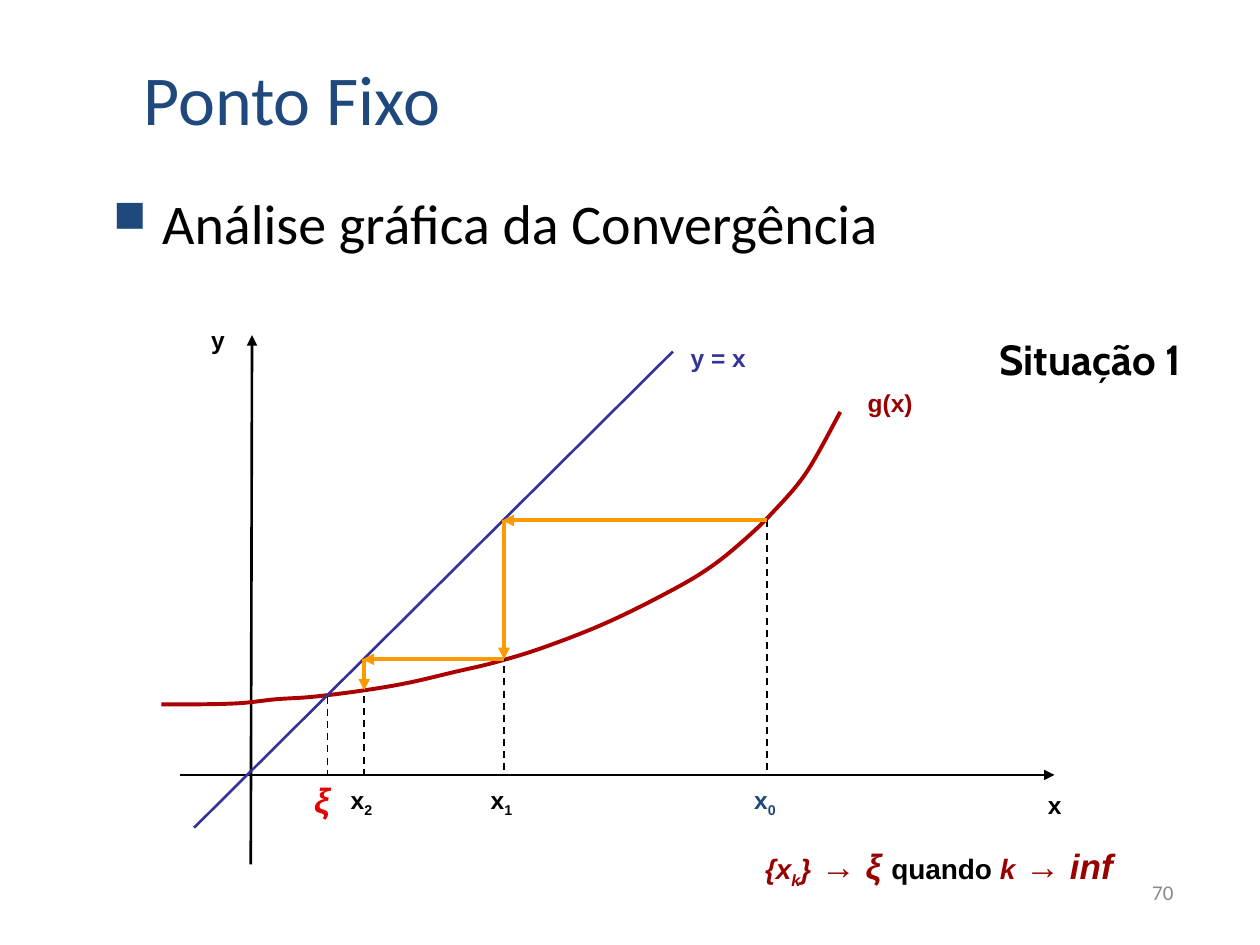
from lxml import etree
from pptx import Presentation
from pptx.dml.color import RGBColor
from pptx.enum import dml, shapes, text
from pptx.oxml import ns
from pptx.util import Pt

BLACK, NAVY, BLUE = "000000", "1F497D", "333399"
RED, CRIMSON, BRIGHT_RED = "990000", "AC0000", "E40000"
ORANGE, GREY = "FF9900", "898989"
LEFT, CENTER, RIGHT = text.PP_ALIGN.LEFT, text.PP_ALIGN.CENTER, text.PP_ALIGN.RIGHT
TOP, MIDDLE, BOTTOM = (text.MSO_ANCHOR.TOP, text.MSO_ANCHOR.MIDDLE,
                       text.MSO_ANCHOR.BOTTOM)

# left, top, width, height, alignment, anchor, wording, font, size, colour, bold
HEADINGS = [
    (74.9, 37.4, 629.3, 46.1, LEFT, BOTTOM, "Ponto Fixo", "Calibri", 40, NAVY, False),
    (57.6, 103.7, 613.4, 46.1, LEFT, BOTTOM, "Análise gráfica da Convergência",
     "Calibri", 32, BLACK, False),
    (545, 187.2, 156.2, 36, CENTER, TOP, "Situação 1", "Cabin", 24, BLACK, True),
    (527.8, 491.8, 149.8, 36, RIGHT, MIDDLE, "70", "Calibri", 12, GREY, False),
]

# left, top, width, height, wording, subscript, size, colour, italic
LABELS = [
    (113.8, 185.8, 21.6, 15.8, "y", "", 14, BLACK, False),
    (596.9, 451.4, 11.5, 13.7, "x", "", 14, BLACK, False),
    (389.5, 195.8, 41.8, 16.6, "y = x", "", 14, BLUE, False),
    (493.2, 221.8, 31, 16.6, "g(x)", "", 14, RED, False),
    (430.6, 448.6, 13, 16.6, "x", "0", 14, NAVY, False),
    (277.9, 448.6, 17.3, 16.6, "x", "1", 14, BLACK, False),
    (199.4, 448.6, 14.4, 16.6, "x", "2", 14, BLACK, False),
    (176.4, 445, 15.1, 20.9, "ξ", "", 20, BRIGHT_RED, True),
]

# wording, size, colour, italic, subscript
LIMIT_BOX = (415.6, 482.4, 241.9, 31.7)
LIMIT = [
    ("{x", 16, RED, True, False),
    ("k", 16, RED, True, True),
    ("}", 16, RED, True, False),
    (" → ξ ", 20, RED, True, False),
    ("quando ", 16, BLACK, False, False),
    ("k", 16, RED, True, False),
    (" → inf", 20, RED, True, False),
]

G_CURVE = [
    (92.2, 402.5), (114.5, 402.5), (137.5, 401.8), (157.7, 399.6), (178.6, 398.2),
    (207.4, 394.6), (233.3, 390.2), (260.6, 383.8), (282.2, 378.7), (310.3, 370.1),
    (347, 355.7), (384.5, 337), (406.1, 324), (424.1, 309.6), (441.4, 293),
    (460.8, 270), (480.2, 235.4),
]

X0, X1, X2, XI = 438.3, 288, 208.1, 187.2
G_X0, G_X1, G_X2, G_XI = 297.4, 376.8, 394.6, 398.2
AXIS_Y = 442.8

# start, end, colour, width, dashed, arrow at the end
AXES = [
    ((143.3, 493.9), (144, 191.5), BLACK, 1.5, False, True),
    ((103, AXIS_Y), (602.6, AXIS_Y), BLACK, 1.5, False, True),
]
GUIDES = [((x, y), (x, AXIS_Y), BLACK, 1, True, False)
          for x, y in [(XI, G_XI), (X0, G_X0), (X2, G_X1), (X1, G_X0)]]
IDENTITY = [((110.9, 473), (384.5, 200.9), BLUE, 1.5, False, False)]
STEPS = [(start, end, ORANGE, 2.25, False, True) for start, end in [
    ((X0, G_X0), (X1 - 1, G_X0)),
    ((X1, G_X0), (X1, G_X1)),
    ((X1, G_X1), (X2 - 1, G_X1)),
    ((X2, G_X1), (X2, G_X2)),
]]


def rgb(value):
    return RGBColor.from_string(value)


def add_xml(parent, tag, **attributes):
    return etree.SubElement(parent, ns.qn(tag), **attributes)


def add_box(page, left, top, width, height, align, anchor=TOP, inset=(0, 0), wrap=True):
    box = page.shapes.add_textbox(Pt(left), Pt(top), Pt(width), Pt(height))
    frame = box.text_frame
    frame.word_wrap = wrap
    frame.vertical_anchor = anchor
    frame.margin_left = frame.margin_right = Pt(inset[0])
    frame.margin_top = frame.margin_bottom = Pt(inset[1])
    para = frame.paragraphs[0]
    para.alignment = align
    return para


def add_span(para, wording, font, size, colour, bold=True, italic=False, subscript=False):
    span = para.add_run()
    span.text = wording
    span.font.name, span.font.size = font, Pt(size)
    span.font.bold, span.font.italic = bold, italic
    span.font.color.rgb = rgb(colour)
    if subscript:
        span.font._element.set("baseline", "-25000")


def add_square_bullet(para):
    props = para._p.get_or_add_pPr()
    props.set("marL", str(Pt(28)))
    props.set("indent", str(-Pt(28)))
    add_xml(add_xml(props, "a:buClr"), "a:srgbClr", val=NAVY)
    add_xml(props, "a:buSzPct", val="80000")
    add_xml(props, "a:buChar", char="■")


def add_line(page, start, end, colour, width, dashed, arrow):
    line = page.shapes.add_connector(shapes.MSO_CONNECTOR.STRAIGHT,
                                     *(Pt(value) for value in start + end))
    line.line.color.rgb = rgb(colour)
    line.line.width = Pt(width)
    if dashed:
        line.line.dash_style = dml.MSO_LINE.DASH
    if arrow:
        add_xml(line.line._get_or_add_ln(), "a:tailEnd", type="triangle")
    add_xml(line._element.spPr, "a:effectLst")


def bezier_points(anchors):
    """Return two control points and an end point for each span of a smooth curve."""
    padded = [anchors[0], *anchors, anchors[-1]]
    points = []
    for before, start, end, after in zip(padded, padded[1:], padded[2:], padded[3:]):
        points.append(tuple(s + (e - b) / 6 for b, s, e in zip(before, start, end)))
        points.append(tuple(e - (a - s) / 6 for s, e, a in zip(start, end, after)))
        points.append(end)
    return points


def add_curve(page, anchors, colour, width):
    builder = page.shapes.build_freeform(*(Pt(value) for value in anchors[0]))
    builder.add_line_segments([(Pt(x), Pt(y)) for x, y in bezier_points(anchors)],
                              close=False)
    curve = builder.convert_to_shape()
    segments = list(curve._element.iter(ns.qn("a:lnTo")))
    outline = segments[0].getparent()
    for first in range(0, len(segments), 3):
        bezier = add_xml(outline, "a:cubicBezTo")
        for segment in segments[first:first + 3]:
            bezier.append(segment[0])
            outline.remove(segment)
    curve.shadow.inherit = False
    curve.fill.background()
    curve.line.color.rgb = rgb(colour)
    curve.line.width = Pt(width)


def main():
    deck = Presentation()
    deck.slide_width, deck.slide_height = Pt(720), Pt(540)
    page = deck.slides.add_slide(deck.slide_layouts[6])

    for *place, align, anchor, wording, font, size, colour, bold in HEADINGS:
        para = add_box(page, *place, align, anchor, inset=(7.2, 3.6))
        if wording.startswith("Análise"):
            add_square_bullet(para)
        add_span(para, wording, font, size, colour, bold)

    for line in AXES:
        add_line(page, *line)
    add_curve(page, G_CURVE, CRIMSON, 2.25)
    for line in GUIDES + IDENTITY + STEPS:
        add_line(page, *line)

    for *place, wording, subscript, size, colour, italic in LABELS:
        para = add_box(page, *place, CENTER, wrap=False)
        add_span(para, wording, "Arial", size, colour, italic=italic)
        if subscript:
            add_span(para, subscript, "Arial", size, colour, subscript=True)

    para = add_box(page, *LIMIT_BOX, CENTER)
    for wording, size, colour, italic, subscript in LIMIT:
        add_span(para, wording, "Arial", size, colour, italic=italic, subscript=subscript)

    deck.save("out.pptx")


if __name__ == "__main__":
    main()
